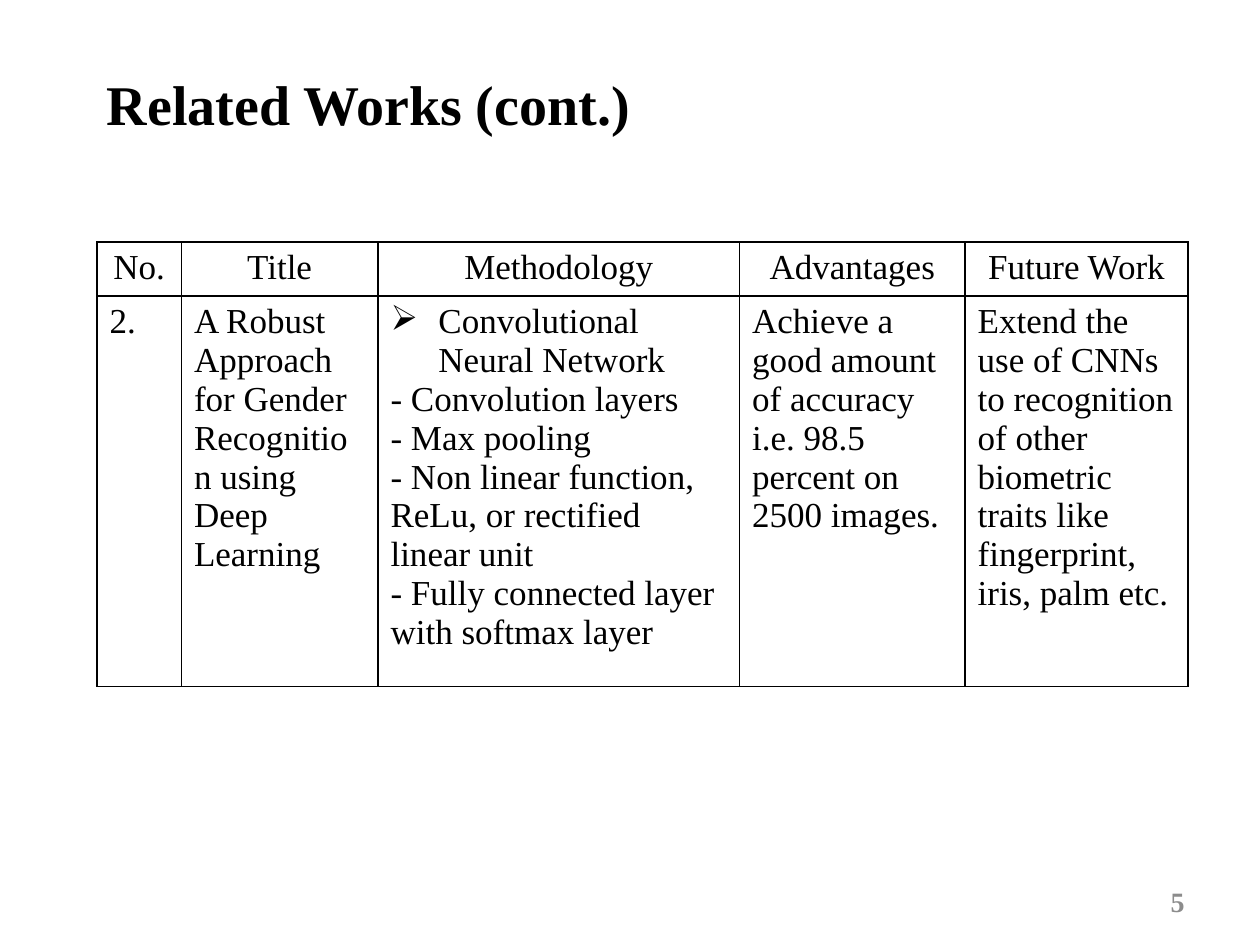
from lxml import etree
from pptx import Presentation
from pptx.dml.color import RGBColor
from pptx.enum.text import MSO_ANCHOR, PP_ALIGN
from pptx.oxml.ns import qn
from pptx.util import Inches, Pt

FONT = "Times New Roman"
BLACK, GREY, WHITE = "000000", "8C8C8C", "FFFFFF"
TITLE = "Related Works (cont.)"
PAGE_NUMBER = "5"
HEADERS = ["No.", "Title", "Methodology", "Advantages", "Future Work"]
WORK = [
    ["2."],
    ["A Robust Approach for Gender Recognition using Deep Learning"],
    ["Convolutional Neural Network",
     "- Convolution layers",
     "- Max pooling",
     "- Non linear function, ReLu, or rectified linear unit",
     "- Fully connected layer with softmax layer"],
    ["Achieve a good amount of accuracy i.e. 98.5 percent on 2500 images."],
    ["Extend the use of CNNs to recognition of other biometric traits "
     "like fingerprint, iris, palm etc."],
]
COLUMN_WIDTHS = [0.67, 1.56, 2.87, 1.79, 1.77]
ROW_HEIGHTS = [0.43, 3.1]
METHOD_COLUMN = HEADERS.index("Methodology")


def color(hex_code):
    """Turn a hex string into a colour."""
    return RGBColor.from_string(hex_code)


def write(frame, lines, size, hex_code=BLACK, bold=False, align=PP_ALIGN.LEFT):
    """Fill a text frame with one paragraph per line."""
    frame.word_wrap = True
    for i, line in enumerate(lines):
        paragraph = frame.paragraphs[0] if i == 0 else frame.add_paragraph()
        paragraph.alignment = align
        run = paragraph.add_run()
        run.text = line
        run.font.name, run.font.size, run.font.bold = FONT, Pt(size), bold
        run.font.color.rgb = color(hex_code)


def add_text(slide, box, text, size, **style):
    """Add a text box and return its frame."""
    frame = slide.shapes.add_textbox(*map(Inches, box)).text_frame
    write(frame, [text], size, bold=True, **style)
    return frame


def add_borders(cell):
    """Draw a thin black line on all four sides of a cell."""
    properties = cell._tc.get_or_add_tcPr()
    for i, side in enumerate(("a:lnL", "a:lnR", "a:lnT", "a:lnB")):
        line = etree.Element(qn(side), w=str(Pt(1)))
        fill = etree.SubElement(line, qn("a:solidFill"))
        etree.SubElement(fill, qn("a:srgbClr"), val=BLACK)
        properties.insert(i, line)


def add_arrow_bullet(paragraph):
    """Give a paragraph a hanging arrow bullet."""
    properties = paragraph._p.get_or_add_pPr()
    indent = Inches(0.38)
    properties.set("marL", str(indent))
    properties.set("indent", str(-indent))
    etree.SubElement(properties, qn("a:buFont"), typeface="Wingdings")
    etree.SubElement(properties, qn("a:buChar"), char="\u00d8")


def add_works_table(slide):
    """Add the table of related works."""
    rows = [[[header] for header in HEADERS], WORK]
    table = slide.shapes.add_table(
        len(rows), len(HEADERS), Inches(0.77), Inches(1.92),
        Inches(sum(COLUMN_WIDTHS)), Inches(sum(ROW_HEIGHTS))).table
    table.first_row = table.horz_banding = False
    for column, width in zip(table.columns, COLUMN_WIDTHS):
        column.width = Inches(width)
    for r, (row, height) in enumerate(zip(rows, ROW_HEIGHTS)):
        table.rows[r].height = Inches(height)
        for c, lines in enumerate(row):
            cell = table.cell(r, c)
            cell.fill.solid()
            cell.fill.fore_color.rgb = color(WHITE)
            add_borders(cell)
            write(cell.text_frame, lines, 20,
                  align=PP_ALIGN.CENTER if r == 0 else PP_ALIGN.LEFT)
    add_arrow_bullet(table.cell(1, METHOD_COLUMN).text_frame.paragraphs[0])


def main():
    """Build the slide and save it."""
    deck = Presentation()
    deck.slide_width, deck.slide_height = Inches(10), Inches(7.5)
    slide = deck.slides.add_slide(deck.slide_layouts[6])
    add_works_table(slide)
    add_text(slide, (0.75, 0.5, 4.5, 0.64), TITLE, 32)
    number = add_text(slide, (7.17, 6.95, 2.33, 0.4), PAGE_NUMBER, 16,
                      hex_code=GREY, align=PP_ALIGN.RIGHT)
    number.vertical_anchor = MSO_ANCHOR.MIDDLE
    deck.save("out.pptx")


main()
